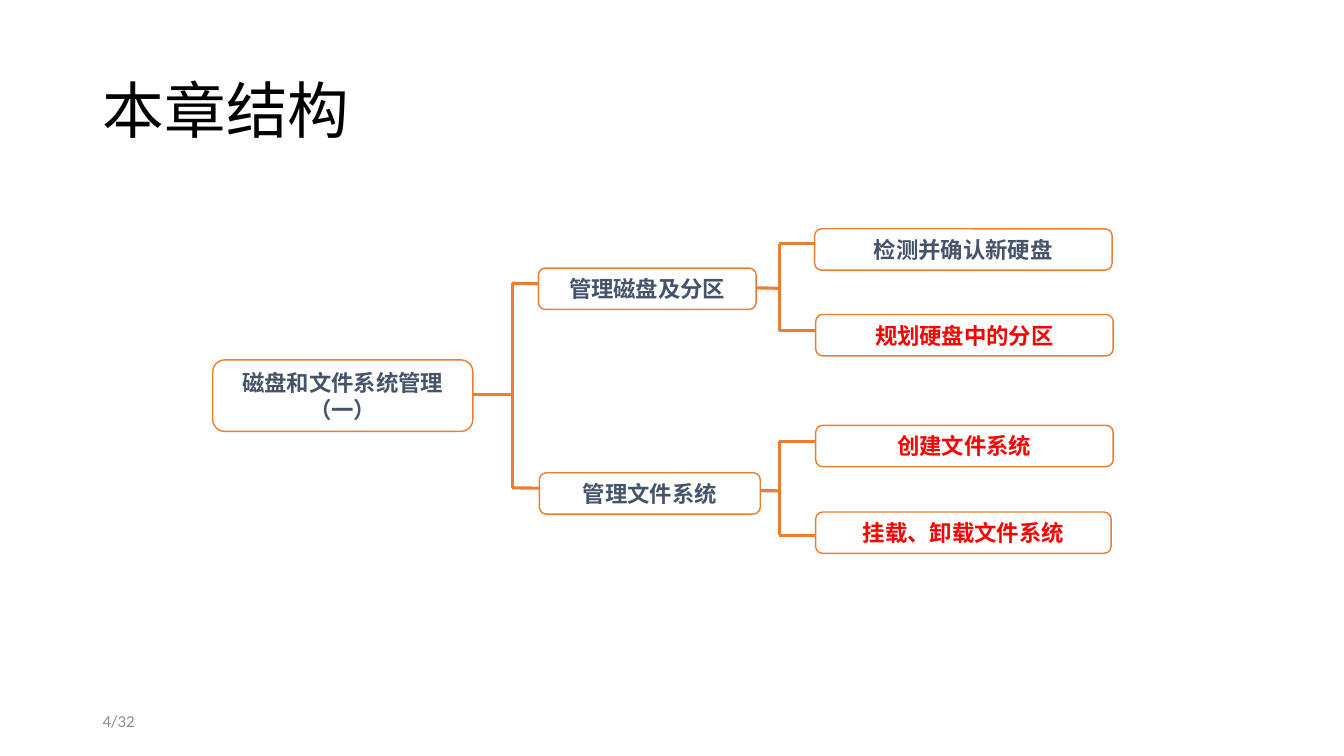
from dataclasses import dataclass

from pptx import Presentation
from pptx.dml.color import RGBColor
from pptx.enum.shapes import MSO_CONNECTOR, MSO_SHAPE
from pptx.enum.text import MSO_ANCHOR, MSO_AUTO_SIZE, PP_ALIGN
from pptx.oxml.ns import qn
from pptx.util import Inches, Pt


@dataclass(frozen=True)
class Theme:
    """Colours, type sizes and line widths of the slide."""
    font: str = "Calibri"
    title: str = "000000"
    topic: str = "44546A"
    key: str = "FF0000"
    accent: str = "ED7D31"
    paper: str = "FFFFFF"
    muted: str = "8C8C8C"
    title_size: int = 44
    node_size: int = 16
    page_size: int = 12
    border: float = 1
    link: float = 2.25


THEME = Theme()
COLUMNS, ROWS = 133.3, 75
LEFT_MARGIN = 9.2
NODE_HEIGHT = 4.1
ROOT_SPINE, LEAF_SPINE, LEAF_EDGE = 50.8, 77.3, 81.3
ROOT = ("磁盘和文件系统管理（一）", 21.1, 35.7, 25.8, 7.1)
ROOT_ROW = 39.1
BRANCHES = [
    ("管理磁盘及分区", (53.4, 26.6, 21.6), (28.1, 28.6), [
        ("检测并确认新硬盘", THEME.topic, (80.8, 22.7, 29.5), 24.2),
        ("规划硬盘中的分区", THEME.key, (80.9, 31.2, 29.5), 32.8)]),
    ("管理文件系统", (53.5, 46.9, 21.9), (48.4, 48.7), [
        ("创建文件系统", THEME.key, (80.9, 42.2, 29.5), 43.8),
        ("挂载、卸载文件系统", THEME.key, (80.9, 50.8, 29.3), 53.1)]),
]


def grid(*cells):
    """Turn grid columns or rows of a tenth of an inch into lengths."""
    return [Inches(cell / 10) for cell in cells]


def color(value):
    """Return the colour for a hex value."""
    return RGBColor.from_string(value)


def write(shape, text, size, ink, align=PP_ALIGN.LEFT, bold=False):
    """Put one formatted paragraph, vertically centred, into a shape."""
    frame = shape.text_frame
    frame.text = text
    frame.word_wrap = True
    frame.auto_size = MSO_AUTO_SIZE.NONE
    frame.vertical_anchor = MSO_ANCHOR.MIDDLE
    paragraph = frame.paragraphs[0]
    paragraph.alignment = align
    font = paragraph.font
    font.name, font.size, font.bold = THEME.font, Pt(size), bold
    font.color.rgb = color(ink)
    return paragraph


def add_title(slide, text):
    """Move the title placeholder into place and fill it."""
    title = slide.shapes.title
    title.left, title.top, title.width, title.height = grid(LEFT_MARGIN, 4, 115, 14.5)
    write(title, text, THEME.title_size, THEME.title).line_spacing = 0.9


def add_node(slide, text, ink, left, top, width, height=NODE_HEIGHT):
    """Add one rounded box of the tree."""
    node = slide.shapes.add_shape(
        MSO_SHAPE.ROUNDED_RECTANGLE, *grid(left, top, width, height))
    node.shadow.inherit = False
    node.adjustments[0] = 0.167
    node.fill.solid()
    node.fill.fore_color.rgb = color(THEME.paper)
    node.line.color.rgb = color(THEME.accent)
    node.line.width = Pt(THEME.border)
    write(node, text, THEME.node_size, ink, PP_ALIGN.CENTER, True)


def add_link(slide, *ends):
    """Add one straight line between two grid points."""
    link = slide.shapes.add_connector(MSO_CONNECTOR.STRAIGHT, *grid(*ends))
    link.line.color.rgb = color(THEME.accent)
    link.line.width = Pt(THEME.link)
    properties = link._element.spPr
    properties.append(properties.makeelement(qn("a:effectLst"), {}))


def add_spine(slide, column, rows):
    """Add the upright line that joins the first and last of some rows."""
    add_link(slide, column, rows[0], column, rows[-1])


def add_tree(slide):
    """Add the links of the chapter tree, then its boxes in front."""
    add_link(slide, 46.1, ROOT_ROW, ROOT_SPINE, ROOT_ROW)
    add_spine(slide, ROOT_SPINE, [rows[0] for _, _, rows, _ in BRANCHES])
    for _, _, (start, end), leaves in BRANCHES:
        add_link(slide, ROOT_SPINE, start, LEAF_SPINE, end)
        leaf_rows = [row for _, _, _, row in leaves]
        add_spine(slide, LEAF_SPINE, leaf_rows)
        for row in leaf_rows:
            add_link(slide, LEAF_SPINE, row, LEAF_EDGE, row)

    text, *box = ROOT
    add_node(slide, text, THEME.topic, *box)
    for text, box, _, leaves in BRANCHES:
        add_node(slide, text, THEME.topic, *box)
        for leaf, ink, leaf_box, _ in leaves:
            add_node(slide, leaf, ink, *leaf_box)


def add_page_number(slide, text):
    """Add the page count at the lower left."""
    box = slide.shapes.add_textbox(*grid(LEFT_MARGIN, 69.5, 30, 4))
    write(box, text, THEME.page_size, THEME.muted)


def main():
    """Build and save the chapter structure slide."""
    presentation = Presentation()
    presentation.slide_width, presentation.slide_height = grid(COLUMNS, ROWS)
    slide = presentation.slides.add_slide(presentation.slide_layouts[5])
    add_title(slide, "本章结构")
    add_tree(slide)
    add_page_number(slide, "4/32")
    presentation.save("out.pptx")


main()
